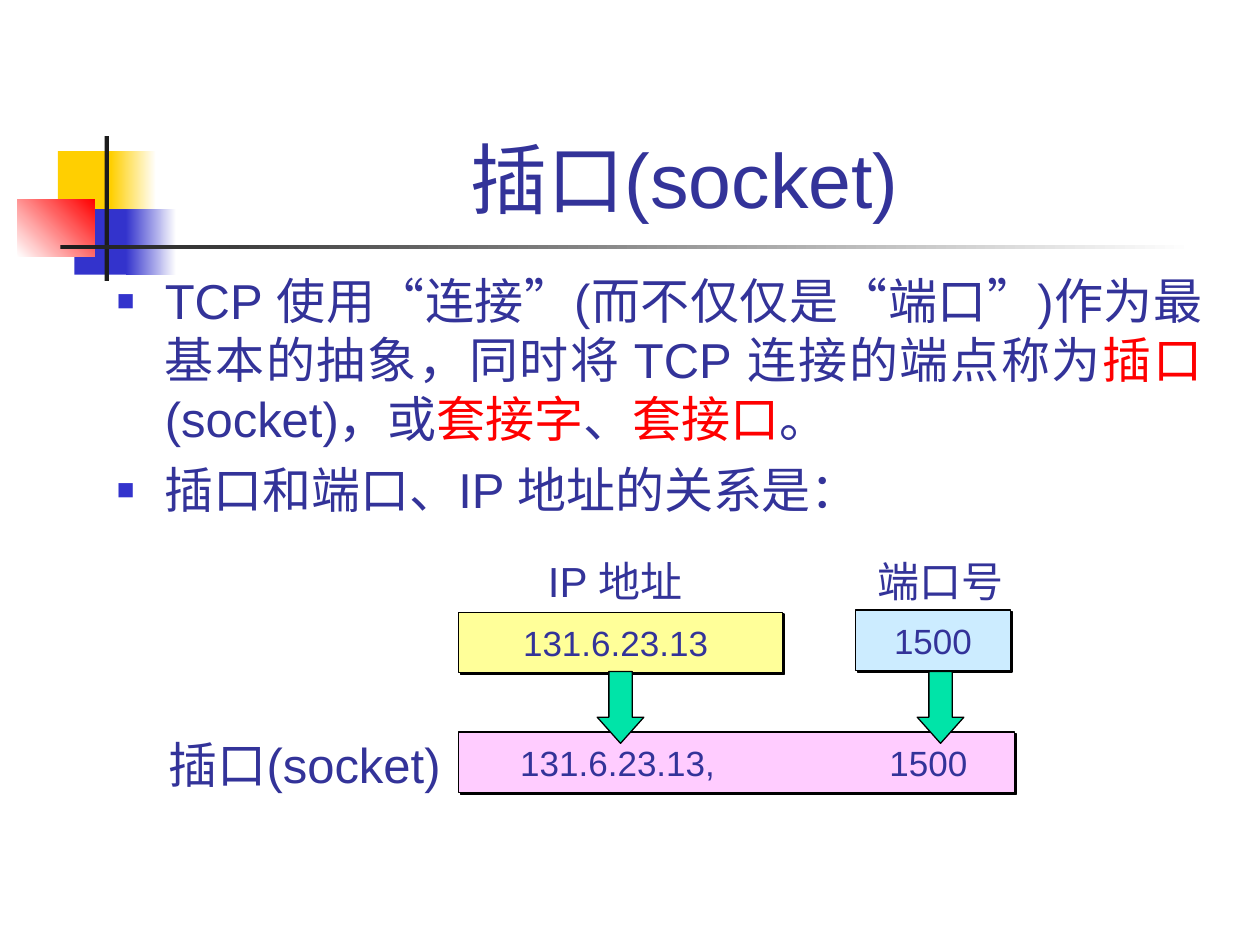
from dataclasses import dataclass

from lxml import etree
from pptx import Presentation
from pptx import util as u
from pptx.dml.color import RGBColor
from pptx.enum import lang, shapes, text
from pptx.oxml import ns

COLUMNS, ROWS = 100, 75


@dataclass(frozen=True)
class Theme:
    font: str = "Arial"
    ink: str = "333399"
    accent: str = "FF0000"
    black: str = "000000"
    charcoal: str = "1C1C1C"
    white: str = "FFFFFF"
    gold: str = "FFCF01"
    blue: str = "3333CC"
    yellow: str = "FFFF99"
    sky: str = "CCECFF"
    pink: str = "FFCCFF"
    green: str = "00E4A8"
    title: int = 44
    body: int = 28
    label: int = 24
    value: int = 20


def add_xml(parent, tag, **attributes):
    return etree.SubElement(parent, ns.qn(tag), attributes)


class SlideBuilder:
    def __init__(self, deck, theme):
        self.theme = theme
        self.slide = deck.slides.add_slide(deck.slide_layouts[6])
        self.column = deck.slide_width / COLUMNS
        self.row = deck.slide_height / ROWS

    def place(self, left, top, width, height):
        return (round(left * self.column), round(top * self.row),
                round(width * self.column), round(height * self.row))

    def style(self, para, size, color=None):
        for span in para.runs:
            span.font.name = self.theme.font
            span.font.size = u.Pt(size)
            span.font.language_id = lang.MSO_LANGUAGE_ID.SIMPLIFIED_CHINESE
            span.font.color.rgb = RGBColor.from_string(color or self.theme.ink)

    def shape(self, area, fill, fade=None, angle=0, outlined=False,
              preset=shapes.MSO_SHAPE.RECTANGLE):
        box = self.slide.shapes.add_shape(preset, *self.place(*area))
        box.shadow.inherit = False
        if fade:
            box.fill.gradient()
            box.fill.gradient_angle = angle
            for stop, color in zip(box.fill.gradient_stops, (fill, fade)):
                stop.color.rgb = RGBColor.from_string(color)
        else:
            box.fill.solid()
            box.fill.fore_color.rgb = RGBColor.from_string(fill)
        if outlined:
            box.line.color.rgb = RGBColor.from_string(self.theme.black)
            box.line.width = u.Pt(0.75)
        else:
            box.line.fill.background()
        return box

    def arrow(self, area):
        arrow = self.shape(area, self.theme.green, outlined=True,
                           preset=shapes.MSO_SHAPE.DOWN_ARROW)
        arrow.adjustments[1] = 0.56

    def value_box(self, area, fill, words, tabs=()):
        box = self.shape(area, fill, outlined=True)
        effects = box._element.spPr.find(ns.qn("a:effectLst"))
        shadow = add_xml(effects, "a:outerShdw", dist=str(u.Pt(1.4)),
                         dir="2700000", algn="ctr", rotWithShape="0")
        add_xml(shadow, "a:srgbClr", val=self.theme.black)
        frame = box.text_frame
        frame.text = words
        frame.word_wrap = bool(tabs)
        frame.vertical_anchor = text.MSO_ANCHOR.MIDDLE
        para = frame.paragraphs[0]
        para.alignment = text.PP_ALIGN.LEFT if tabs else text.PP_ALIGN.CENTER
        if tabs:
            stops = add_xml(para._p.get_or_add_pPr(), "a:tabLst")
            for position in tabs:
                add_xml(stops, "a:tab", pos=str(round(position * self.column)), algn="l")
        self.style(para, self.theme.value)

    def label(self, area, words, size, centered=False):
        box = self.slide.shapes.add_textbox(*self.place(*area))
        frame = box.text_frame
        frame.text = words
        frame.word_wrap = centered
        para = frame.paragraphs[0]
        if centered:
            frame.vertical_anchor = text.MSO_ANCHOR.BOTTOM
            para.alignment = text.PP_ALIGN.CENTER
        self.style(para, size)

    def bullets(self, area, items):
        frame = self.slide.shapes.add_textbox(*self.place(*area)).text_frame
        frame.word_wrap = True
        for index, pieces in enumerate(items):
            para = frame.add_paragraph() if index else frame.paragraphs[0]
            para.alignment = text.PP_ALIGN.JUSTIFY
            if index:
                para.space_before = u.Pt(7)
            properties = para._p.get_or_add_pPr()
            indent = round(3.8 * self.column)
            properties.set("marL", str(indent))
            properties.set("indent", str(-indent))
            color = add_xml(properties, "a:buClr")
            add_xml(color, "a:srgbClr", val=self.theme.blue)
            add_xml(properties, "a:buSzPct", val="60000")
            add_xml(properties, "a:buFont", typeface=self.theme.font)
            add_xml(properties, "a:buChar", char="■")
            for words, _ in pieces:
                para.add_run().text = words
            self.style(para, self.theme.body)
            for span, (_, emphasized) in zip(para.runs, pieces):
                if emphasized:
                    span.font.color.rgb = RGBColor.from_string(self.theme.accent)


def main():
    deck = Presentation()
    deck.slide_width, deck.slide_height = u.Inches(10), u.Inches(7.5)
    theme = Theme()
    page = SlideBuilder(deck, theme)

    page.shape((4.6, 12, 4.8, 5.2), theme.gold)
    page.shape((8.8, 12, 3.6, 5.2), theme.gold, theme.white)
    page.shape((5.9, 16.6, 4.6, 5.2), theme.blue)
    page.shape((10, 16.6, 4, 5.2), theme.blue, theme.white)
    page.shape((1.4, 15.8, 6.1, 4.6), theme.white, theme.accent, angle=45)
    page.shape((8.3, 10.8, 0.35, 11.5), theme.charcoal)
    page.shape((4.8, 19.45, 90, 0.35), theme.charcoal, theme.white)

    page.label((12.6, 2.3, 85.2, 16), "插口(socket) ", theme.title, centered=True)
    page.bullets((8.3, 21, 88.1, 52), [
        [("TCP 使用“连接”(而不仅仅是“端口”)作为最基本的抽象，同时将 TCP 连接的端点称为", False),
         ("插口", True), ("(socket)，或", False), ("套接字", True),
         ("、", False), ("套接口", True), ("。", False)],
        [("插口和端口、IP 地址的关系是：", False)],
    ])

    page.label((42.5, 43.6, 13.5, 5), "IP 地址", theme.label)
    page.value_box((36.4, 48.6, 25.7, 4.8), theme.yellow, "131.6.23.13 ")
    page.label((68.7, 43.6, 13.6, 5), "端口号", theme.label)
    page.value_box((67.9, 48.4, 12.3, 4.8), theme.sky, "1500")
    page.value_box((36.4, 58.1, 44.1, 4.8), theme.pink,
                   "\t131.6.23.13,\t1500", tabs=(3.9, 33.2))
    page.label((12.4, 57.8, 24.5, 5.7), "插口(socket)", theme.body)
    for left in (47.4, 72.8):
        page.arrow((left, 53.3, 3.7, 5.7))

    deck.save("out.pptx")


if __name__ == "__main__":
    main()
